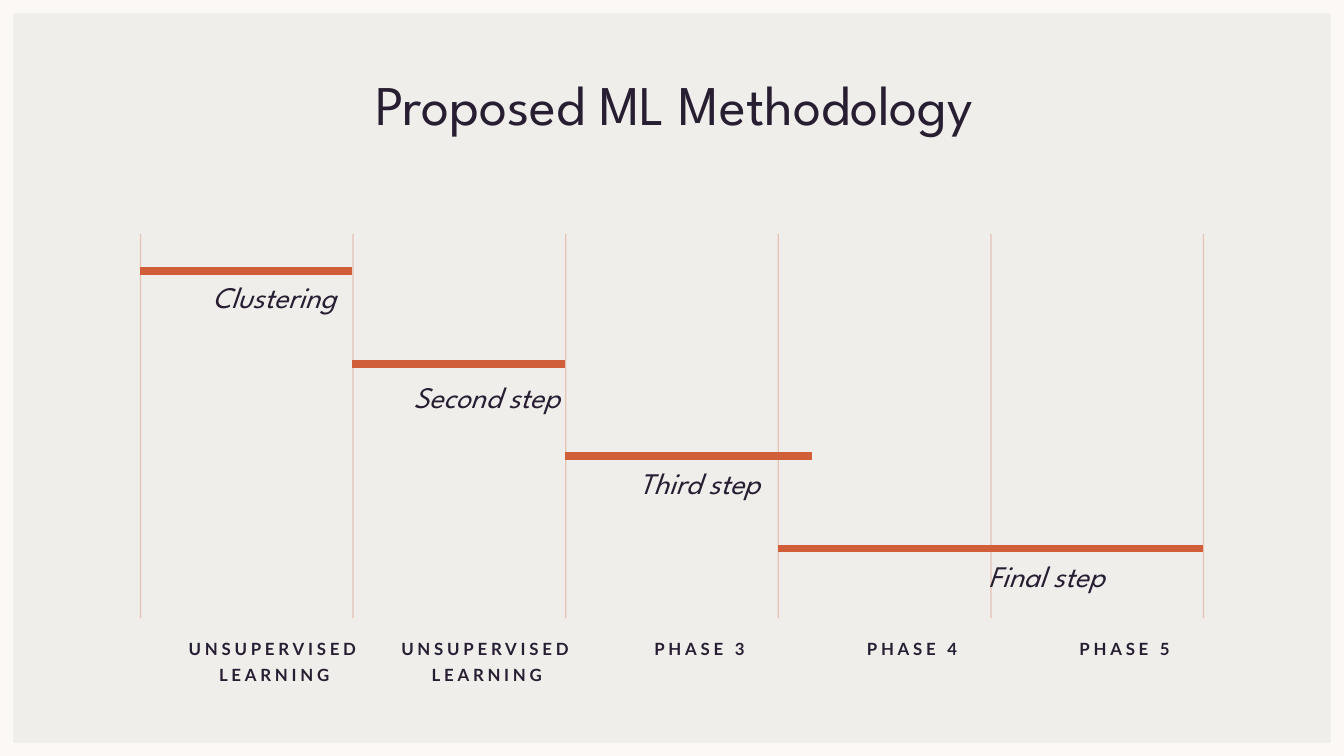
from dataclasses import dataclass

from lxml import etree
from pptx import Presentation
from pptx.dml.color import RGBColor
from pptx.enum.shapes import MSO_CONNECTOR, MSO_SHAPE
from pptx.enum.text import MSO_ANCHOR, MSO_AUTO_SIZE, PP_ALIGN
from pptx.oxml.ns import qn
from pptx.util import Pt

RECTANGLE = MSO_SHAPE.RECTANGLE
STRAIGHT = MSO_CONNECTOR.STRAIGHT
CENTER = PP_ALIGN.CENTER
TOP = MSO_ANCHOR.TOP
NO_AUTOFIT = MSO_AUTO_SIZE.NONE
TITLE_ONLY = 5

SLIDE_WIDTH, SLIDE_HEIGHT = 720, 405
GRID_LEFT, GRID_TOP, GRID_HEIGHT = 74.9, 125.3, 205.9
COLUMN_WIDTH = 113.9
BAR_TOP, BAR_PITCH = 145.4, 49.5
FRAME_THICKNESS, FRAME_INSET = 9.4, 7.2
PHASE_TOP = 338.4
LABEL_WIDTH = 144


@dataclass(frozen=True)
class TextStyle:
    """Font, size and spacing of one kind of text."""
    font: str
    size: float
    line: float
    bold: bool = False
    italic: bool = False
    tracking: int = 0


@dataclass(frozen=True)
class Theme:
    """Colours and text styles of the slide."""
    background: RGBColor = RGBColor.from_string("F0EEEB")
    frame: RGBColor = RGBColor.from_string("FBF8F5")
    accent: RGBColor = RGBColor.from_string("CF5E39")
    ink: RGBColor = RGBColor.from_string("281E32")
    title: TextStyle = TextStyle("League Spartan", 30, 36)
    step: TextStyle = TextStyle("League Spartan", 16, 19.7, italic=True)
    phase: TextStyle = TextStyle("Lato", 9, 14.4, bold=True, tracking=200)


@dataclass(frozen=True)
class Step:
    """A bar of the timeline; span is counted in columns."""
    name: str
    span: float
    label_gap: float
    label_width: float = LABEL_WIDTH


THEME = Theme()
PHASES = ["UNSUPERVISED LEARNING", "UNSUPERVISED LEARNING", "PHASE 3", "PHASE 4", "PHASE 5"]
STEPS = [
    Step("Clustering", 1, 3.6),
    Step("Second step", 1, 7.4),
    Step("Third step", 1.16, 4),
    Step("Final step", 2, 4.2, 2 * LABEL_WIDTH),
]


def column_left(column):
    """Return the left edge of a column."""
    return GRID_LEFT + column * COLUMN_WIDTH


def write_text(shape, text, style):
    """Fill a shape with one centred paragraph in the given style."""
    frame = shape.text_frame
    frame.auto_size = NO_AUTOFIT
    frame.word_wrap = True
    frame.vertical_anchor = TOP
    frame.margin_left = frame.margin_right = frame.margin_top = frame.margin_bottom = 0
    frame.text = text
    paragraph = frame.paragraphs[0]
    paragraph.alignment = CENTER
    paragraph.line_spacing = Pt(style.line)
    font = paragraph.font
    font.name, font.size = style.font, Pt(style.size)
    font.bold, font.italic = style.bold, style.italic
    font.color.rgb = THEME.ink
    if style.tracking:
        paragraph._p.pPr.find(qn("a:defRPr")).set("spc", str(style.tracking))


def add_title(slide, text):
    """Place and format the title placeholder."""
    title = slide.shapes.title
    title.left, title.top, title.width, title.height = Pt(37.4), Pt(37.4), Pt(648), Pt(36)
    write_text(title, text, THEME.title)


def add_label(slide, text, left, top, width, height, style):
    """Add a text box."""
    label = slide.shapes.add_textbox(Pt(left), Pt(top), Pt(width), Pt(height))
    write_text(label, text, style)


def add_block(slide, left, top, width, height, color, opacity=100):
    """Add a plain filled rectangle."""
    block = slide.shapes.add_shape(RECTANGLE, Pt(left), Pt(top), Pt(width), Pt(height))
    block.shadow.inherit = False
    block.line.fill.background()
    block.fill.solid()
    block.fill.fore_color.rgb = color
    if opacity < 100:
        fill_color = block._element.spPr.find(f"{qn('a:solidFill')}/{qn('a:srgbClr')}")
        etree.SubElement(fill_color, qn("a:alpha")).set("val", str(opacity * 1000))


def add_bar(slide, left, right, y):
    """Add a thick horizontal line."""
    bar = slide.shapes.add_connector(STRAIGHT, Pt(left), Pt(y), Pt(right), Pt(y))
    bar.line.color.rgb = THEME.accent
    bar.line.width = Pt(4.17)
    etree.SubElement(bar._element.spPr, qn("a:effectLst"))


def add_frame(slide):
    """Add the border strips along the four slide edges."""
    overhang = FRAME_THICKNESS - FRAME_INSET
    for left in (-overhang, SLIDE_WIDTH - FRAME_INSET):
        add_block(slide, left, 0, FRAME_THICKNESS, SLIDE_HEIGHT, THEME.frame)
    for top in (-overhang, SLIDE_HEIGHT - FRAME_INSET):
        add_block(slide, 0, top, SLIDE_WIDTH, FRAME_THICKNESS, THEME.frame)


def add_timeline(slide):
    """Add the grid lines, phase names and steps."""
    for column in range(len(PHASES) + 1):
        add_block(slide, column_left(column), GRID_TOP, 0.7, GRID_HEIGHT, THEME.accent, 30)
    for column, phase in enumerate(PHASES):
        add_label(slide, phase, column_left(column), PHASE_TOP, LABEL_WIDTH,
                  THEME.phase.line * len(phase.split(" L")), THEME.phase)
    for column, step in enumerate(STEPS):
        left, y = column_left(column), BAR_TOP + column * BAR_PITCH
        add_label(slide, step.name, left, y + step.label_gap, step.label_width,
                  THEME.step.line, THEME.step)
        add_bar(slide, left, column_left(column + step.span), y)


def main():
    """Build and save the presentation."""
    presentation = Presentation()
    presentation.slide_width, presentation.slide_height = Pt(SLIDE_WIDTH), Pt(SLIDE_HEIGHT)
    slide = presentation.slides.add_slide(presentation.slide_layouts[TITLE_ONLY])
    slide.background.fill.solid()
    slide.background.fill.fore_color.rgb = THEME.background
    add_timeline(slide)
    add_frame(slide)
    add_title(slide, "Proposed ML Methodology")
    presentation.save("out.pptx")


if __name__ == "__main__":
    main()
